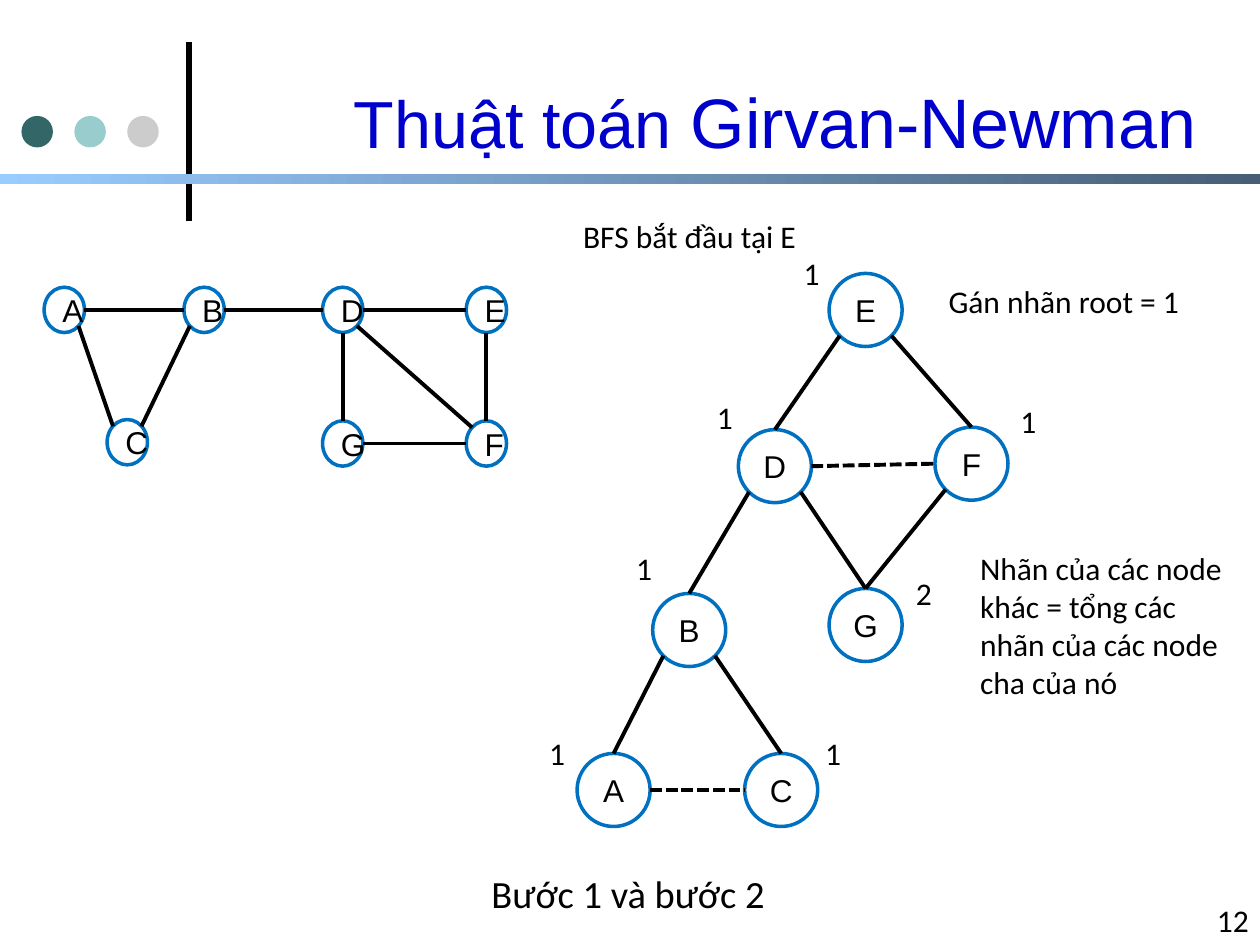
"""Build a slide on the Girvan-Newman algorithm: a graph and its labelled BFS tree."""
from math import sqrt

from lxml import etree
from pptx import Presentation
from pptx import util as u
from pptx.dml.color import RGBColor
from pptx.enum import dml, shapes, text
from pptx.oxml.ns import qn

Inches = u.Inches
rgb = RGBColor.from_string

deck = Presentation()
deck.slide_width, deck.slide_height = Inches(10), Inches(7.5)
slide = deck.slides.add_slide(deck.slide_layouts[6])


def add_line(start, end, width=2.25, dashed=False):
    points = [Inches(value) for value in (*start, *end)]
    line = slide.shapes.add_connector(shapes.MSO_CONNECTOR.STRAIGHT, *points)
    line.line.color.rgb = rgb("000000")
    line.line.width = u.Pt(width)
    if dashed:
        line.line.dash_style = dml.MSO_LINE.SQUARE_DOT
    etree.SubElement(line._element.spPr, qn("a:effectLst"))


def add_text(box, words, size=18, font="Calibri", color="000000", align="LEFT",
             anchor="TOP", wrap=True, grow=True):
    frame = slide.shapes.add_textbox(*map(Inches, box)).text_frame
    frame.text = words
    frame.word_wrap = wrap
    frame.vertical_anchor = text.MSO_ANCHOR[anchor]
    frame.auto_size = text.MSO_AUTO_SIZE["SHAPE_TO_FIT_TEXT" if grow else "NONE"]
    paragraph = frame.paragraphs[0]
    paragraph.alignment = text.PP_ALIGN[align]
    paragraph.runs[0].font.size = u.Pt(size)
    paragraph.runs[0].font.name = font
    paragraph.runs[0].font.color.rgb = rgb(color)
    return paragraph


add_line((1.5, 1.75), (1.5, 0.33), width=3)
for index, color in enumerate(["336666", "99CCCC", "CCCCCC"]):
    dot = slide.shapes.add_shape(shapes.MSO_SHAPE.OVAL, Inches(0.17 + 0.42 * index),
                                 Inches(0.92), Inches(0.25), Inches(0.25))
    dot.shadow.inherit = False
    dot.fill.solid()
    dot.fill.fore_color.rgb = rgb(color)
    dot.line.fill.background()

rule = slide.shapes.add_shape(shapes.MSO_SHAPE.RECTANGLE, 0, Inches(1.38), Inches(10), Inches(0.08))
rule.shadow.inherit = False
rule.line.fill.background()
rule.fill.gradient()
rule.fill.gradient_angle = 0
for stop, color in zip(rule.fill.gradient_stops, ["99CCFF", "475E76"]):
    stop.color.rgb = rgb(color)

title = add_text((1.67, 0.34, 7.92, 1.24), "Thuật toán ", 38, "Arial", "0000CC",
                 "RIGHT", "MIDDLE", grow=False)
algorithm = title.add_run()
algorithm.text = "Girvan-Newman"
algorithm.font.size = u.Pt(40)
algorithm.font.name = "Arial"
algorithm.font.color.rgb = rgb("0000CC")
add_text((8.6, 7, 1.41, 0.5), "12", align="RIGHT", anchor="BOTTOM", grow=False)

diagonal = 1 / sqrt(2)
sides = {"n": (0, -1), "s": (0, 1), "w": (-1, 0), "e": (1, 0),
         "nw": (-diagonal, -diagonal), "ne": (diagonal, -diagonal),
         "sw": (-diagonal, diagonal), "se": (diagonal, diagonal)}

graph_nodes = {"A": (0.35, 2.28), "D": (2.56, 2.28), "C": (0.85, 3.33), "E": (3.7, 2.28),
               "F": (3.7, 3.34), "G": (2.56, 3.34), "B": (1.46, 2.28)}
graph_edges = ["A e B w", "A se C nw", "C ne B sw", "B e D w", "D e E w",
               "D s G n", "E s F n", "G e F w", "D se F nw"]
tree_nodes = {"A": (4.58, 5.98), "D": (5.86, 3.41), "C": (5.91, 5.98), "E": (6.58, 2.17),
              "F": (7.42, 3.39), "G": (6.58, 4.67), "B": (5.18, 4.71)}
tree_edges = ["E sw D n", "E se F n", "D se G n", "F sw G n", "D sw B n",
              "B sw A n", "B se C n"]
same_level_edges = ["D e F w", "A e C w"]

for nodes, width, height, solid, dashed in [
        (graph_nodes, 0.32, 0.36, graph_edges, []),
        (tree_nodes, 0.58, 0.58, tree_edges, same_level_edges)]:
    for name, (left, top) in nodes.items():
        node = slide.shapes.add_shape(shapes.MSO_SHAPE.OVAL, Inches(left), Inches(top),
                                      Inches(width), Inches(height))
        node.shadow.inherit = False
        node.fill.background()
        node.line.color.rgb = rgb("0070C0")
        node.line.width = u.Pt(2)
        node.text_frame.text = name
        node.text_frame.vertical_anchor = text.MSO_ANCHOR.MIDDLE
        letter = node.text_frame.paragraphs[0]
        letter.alignment = text.PP_ALIGN.CENTER
        letter.runs[0].font.size = u.Pt(18)
        letter.runs[0].font.name = "Arial"
        letter.runs[0].font.color.rgb = rgb("000000")
    for edge in solid + dashed:
        first, first_side, second, second_side = edge.split()
        start, end = [(nodes[name][0] + width / 2 * (1 + sides[side][0]),
                       nodes[name][1] + height / 2 * (1 + sides[side][1]))
                      for name, side in [(first, first_side), (second, second_side)]]
        add_line(start, end, dashed=edge in dashed)

for left, top, label in [(6.28, 1.97, "1"), (6.45, 5.78, "1"), (5.59, 3.11, "1"),
                         (8, 3.14, "1"), (7.17, 4.51, "2"), (4.95, 4.31, "1"),
                         (4.26, 5.78, "1")]:
    add_text((left, top, 0.32, 0.4), label, wrap=False)

add_text((7.43, 2.19, 2.03, 0.4), "Gán nhãn root = 1", wrap=False)
add_text((7.68, 4.31, 2.32, 1.3),
         "Nhãn của các node khác = tổng các nhãn của các node cha của nó")
add_text((4.53, 1.67, 1.93, 0.4), "BFS bắt đầu tại E")
add_text((1.13, 6.86, 7.71, 0.47), "Bước 1 và bước 2", 22, align="CENTER")

deck.save("out.pptx")
